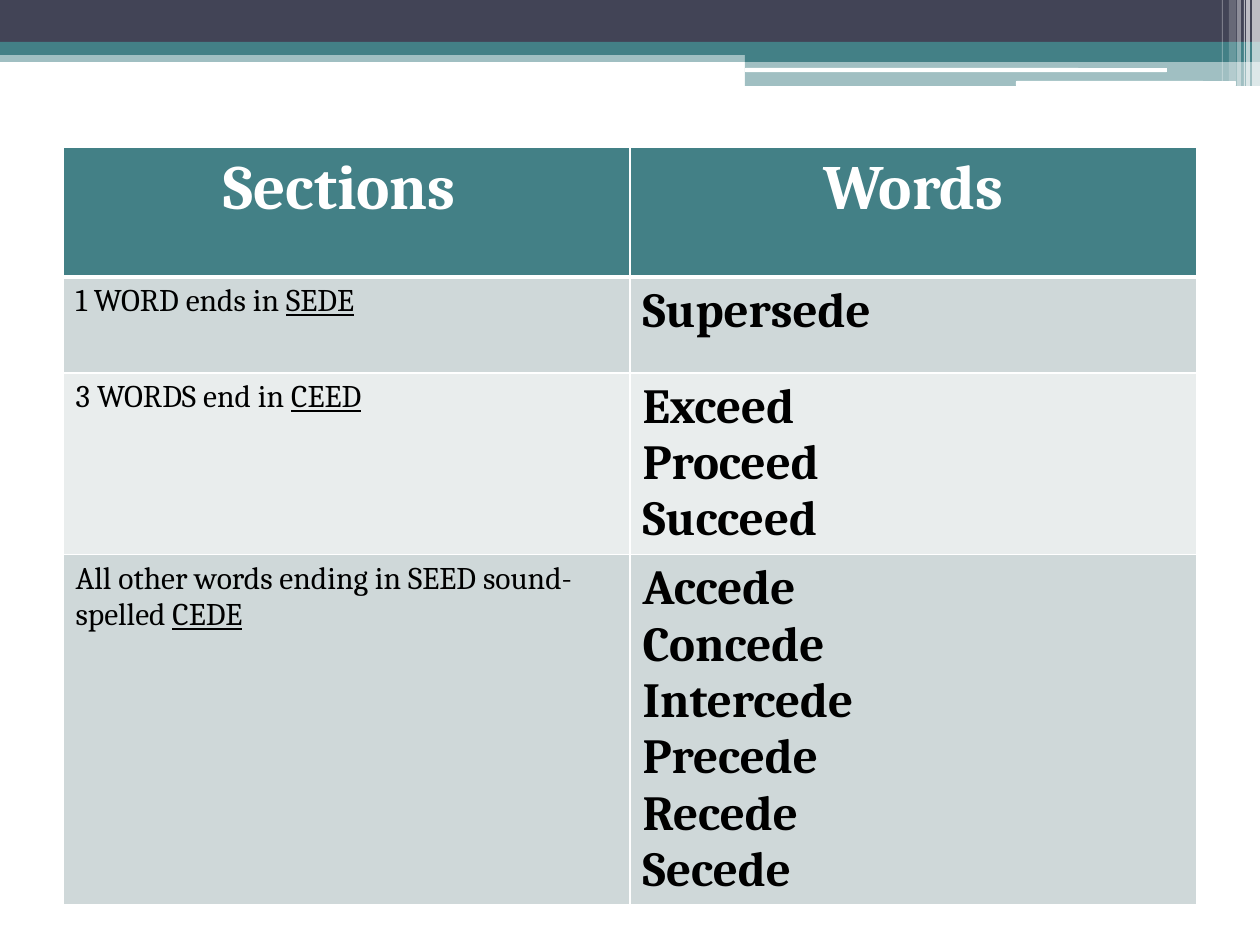
from lxml import etree
from pptx import Presentation
from pptx.dml.color import RGBColor
from pptx.enum.shapes import MSO_SHAPE
from pptx.enum.text import PP_ALIGN
from pptx.oxml.ns import qn
from pptx.util import Pt

RECTANGLE = MSO_SHAPE.RECTANGLE
ROUNDED = MSO_SHAPE.ROUNDED_RECTANGLE
CENTER = PP_ALIGN.CENTER
LEFT = PP_ALIGN.LEFT

SCALE = 914400 / 126
COLORS = {
    "navy": "424456",
    "teal": "438086",
    "white": "FFFFFF",
    "black": "000000",
    "dark_band": "CFD8D9",
    "light_band": "E9EDED",
}
HEADER = {"size": Pt(36), "bold": True, "name": "Cambria"}
SECTION = {"size": Pt(18), "bold": False, "name": "Cambria"}
WORD = {"size": Pt(28), "bold": True, "name": "Cambria"}


def px(*lengths):
    return [round(length * SCALE) for length in lengths]


def add_border(cell, side, points):
    line = etree.SubElement(cell._tc.get_or_add_tcPr(), qn(f"a:{side}"), w=str(Pt(points)))
    fill = etree.SubElement(line, qn("a:solidFill"))
    etree.SubElement(fill, qn("a:srgbClr"), val=COLORS["white"])


presentation = Presentation()
presentation.slide_width, presentation.slide_height = px(1260, 945)
slide = presentation.slides.add_slide(presentation.slide_layouts[6])

banner = [
    (RECTANGLE, 0, 50, 1260, 12, "teal", 50),
    (RECTANGLE, 0, 0, 1260, 43, "navy", 100),
    (RECTANGLE, 0, 42, 1260, 13, "teal", 100),
    (RECTANGLE, 745, 49, 515, 13, "teal", 100),
    (RECTANGLE, 745, 62, 515, 24, "teal", 50),
    (ROUNDED, 745, 68, 422, 4, "white", 100),
    (ROUNDED, 1016, 81, 220, 5, "white", 100),
    (RECTANGLE, 1252, 0, 8, 86, "white", 65),
    (RECTANGLE, 1246, 0, 4, 86, "white", 65),
    (RECTANGLE, 1244, 0, 1, 86, "white", 60),
    (RECTANGLE, 1237, 0, 4, 86, "white", 40),
    (RECTANGLE, 1229, 0, 7, 81, "white", 20),
    (RECTANGLE, 1222, 0, 1, 81, "white", 30),
]
for kind, left, top, width, height, color, opacity in banner:
    shape = slide.shapes.add_shape(kind, *px(left, top, width, height))
    shape.shadow.inherit = False
    shape.line.fill.background()
    shape.fill.solid()
    shape.fill.fore_color.rgb = RGBColor.from_string(COLORS[color])
    if opacity < 100:
        color_element = shape._element.spPr.find(f"{qn('a:solidFill')}/{qn('a:srgbClr')}")
        etree.SubElement(color_element, qn("a:alpha"), val=str(opacity * 1000))

rows = [
    (130, "teal", [("Sections ", "")], ["Words"]),
    (96, "dark_band", [("1 WORD ends in ", "SEDE")], ["Supersede"]),
    (164, "light_band", [("3 WORDS end in ", "CEED")], ["Exceed", "Proceed", "Succeed"]),
    (312, "dark_band", [("All other words ending in SEED sound- spelled ", "CEDE")],
     ["Accede", "Concede", "Intercede", "Precede", "Recede", "Secede"]),
]
table = slide.shapes.add_table(len(rows), 2, *px(63, 147, 1134, 780)).table
for row_index, (height, band, section, words) in enumerate(rows):
    table.rows[row_index].height = px(height)[0]
    is_header = row_index == 0
    text_color = COLORS["white" if is_header else "black"]
    columns = [
        (section, HEADER if is_header else SECTION),
        ([(word, "") for word in words], HEADER if is_header else WORD),
    ]
    for column_index, (lines, text_format) in enumerate(columns):
        cell = table.cell(row_index, column_index)
        borders = {"lnL": 1, "lnR": 1, "lnT": 3 if row_index == 1 else 1, "lnB": 3 if is_header else 1}
        for side, points in borders.items():
            add_border(cell, side, points)
        cell.fill.solid()
        cell.fill.fore_color.rgb = RGBColor.from_string(COLORS[band])
        for line_index, (plain, underlined) in enumerate(lines):
            text_frame = cell.text_frame
            paragraph = text_frame.add_paragraph() if line_index else text_frame.paragraphs[0]
            paragraph.alignment = CENTER if is_header else LEFT
            for text, underline in ((plain, False), (underlined, True)):
                if text:
                    run = paragraph.add_run()
                    run.text = text
                    for attribute, value in text_format.items():
                        setattr(run.font, attribute, value)
                    run.font.underline = underline
                    run.font.color.rgb = RGBColor.from_string(text_color)

presentation.save("out.pptx")
